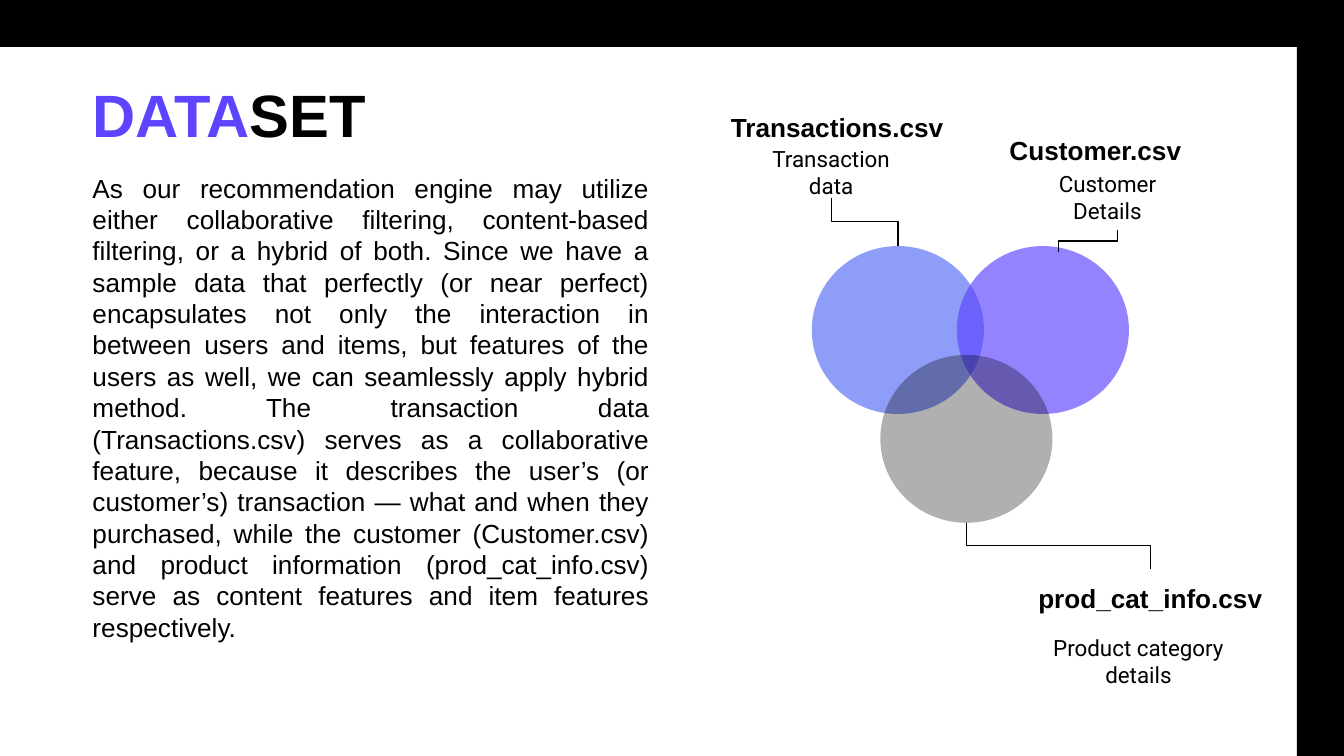
from dataclasses import dataclass

from lxml.etree import SubElement
from pptx import Presentation
from pptx.dml.color import RGBColor
from pptx.enum.shapes import MSO_CONNECTOR, MSO_SHAPE
from pptx.enum.text import MSO_ANCHOR, PP_ALIGN
from pptx.oxml.ns import qn
from pptx.util import Pt


@dataclass(frozen=True)
class Theme:
    black: str = "000000"
    violet: str = "5D44FF"
    blue: str = "8E9DF7"
    title_size: int = 32
    text_size: int = 14
    detail_size: int = 12
    main_font: str = "Arial"
    detail_font: str = "Roboto"


theme = Theme()
deck = Presentation()
deck.slide_width, deck.slide_height = Pt(720), Pt(405)
slide = deck.slides.add_slide(deck.slide_layouts[6])


def add_text(box, *pieces, size=theme.text_size, font=theme.main_font, bold=False,
             align=PP_ALIGN.CENTER, anchor=MSO_ANCHOR.TOP, inset=7.2, spacing=None):
    """Write (text, colour) pieces as one paragraph in a box of left, top, width, height."""
    frame = slide.shapes.add_textbox(*map(Pt, box)).text_frame
    frame.word_wrap = True
    frame.vertical_anchor = anchor
    frame.margin_left = frame.margin_right = Pt(7.2)
    frame.margin_top = frame.margin_bottom = Pt(inset)
    paragraph = frame.paragraphs[0]
    paragraph.alignment = align
    paragraph.line_spacing = spacing
    for text, colour in pieces:
        run = paragraph.add_run()
        run.text = text
        run.font.name, run.font.size, run.font.bold = font, Pt(size), bold
        run.font.color.rgb = RGBColor.from_string(colour)


def add_filled(preset, box, colour, opacity=100):
    shape = slide.shapes.add_shape(preset, *map(Pt, box))
    shape.shadow.inherit = False
    shape.line.fill.background()
    shape.fill.solid()
    shape.fill.fore_color.rgb = RGBColor.from_string(colour)
    if opacity < 100:
        colour_node = shape.fill._xPr.find(qn("a:solidFill"))[0]
        SubElement(colour_node, qn("a:alpha")).set("val", str(opacity * 1000))


# Frame along the right and top edges
for bar in ((694.8, 0, 25.2, 405), (0, 0, 720, 25.2)):
    add_filled(MSO_SHAPE.RECTANGLE, bar, theme.black)

add_text((42.5, 32.4, 245.5, 64), ("DATA", theme.violet), ("SET", theme.black),
         size=theme.title_size, bold=True, align=PP_ALIGN.LEFT,
         anchor=MSO_ANCHOR.MIDDLE, spacing=0.8)

# Venn diagram
for left, top, colour, opacity in (
    (434.9, 131.8, theme.blue, 100),
    (512.6, 131.8, theme.violet, 66),
    (471.6, 190.1, theme.black, 31),
):
    add_filled(MSO_SHAPE.OVAL, (left, top, 92.2, 90), colour, opacity)

# File names and what they hold
for file_name, name_box, detail, detail_box in (
    ("Transactions.csv", (379.4, 52.6, 138.2, 23),
     "Transaction data", (396, 70.6, 98.6, 35.3)),
    ("Customer.csv", (529.9, 64.8, 113.8, 23),
     "Customer Details", (547.2, 84.2, 92.2, 35.3)),
    ("prod_cat_info.csv", (547.2, 304.6, 138.2, 18),
     "Product category details", (553, 332.6, 113.8, 41)),
):
    add_text(name_box, (file_name, theme.black), bold=True)
    add_text(detail_box, (detail, theme.black),
             size=theme.detail_size, font=theme.detail_font)

# Elbow leaders leave vertically: lay each out sideways, then turn it a quarter
for x1, y1, x2, y2 in (
    (445.4, 105.8, 481, 131.8),
    (598.8, 123.1, 567.1, 135.2),
    (517.7, 280.1, 616.5, 304.6),
):
    mid_x, mid_y = (x1 + x2) / 2, (y1 + y2) / 2
    half_run, half_drop = (x2 - x1) / 2, (y2 - y1) / 2
    leader = slide.shapes.add_connector(
        MSO_CONNECTOR.ELBOW,
        Pt(mid_x - half_drop), Pt(mid_y + half_run),
        Pt(mid_x + half_drop), Pt(mid_y - half_run))
    leader.line.color.rgb = RGBColor.from_string(theme.black)
    leader.line.width = Pt(0.75)
    properties = leader._element.spPr
    properties.find(qn("a:xfrm")).set("rot", str(90 * 60000))
    SubElement(properties, qn("a:effectLst"))

add_text(
    (42.5, 88.6, 312.5, 261.4),
    ("As our recommendation engine may utilize either collaborative filtering, "
     "content-based filtering, or a hybrid of both. Since we have a sample data that "
     "perfectly (or near perfect) encapsulates not only the interaction in between users "
     "and items, but features of the users as well, we can seamlessly apply hybrid method. "
     "The transaction data (Transactions.csv) serves as a collaborative feature, because "
     "it describes the user’s (or customer’s) transaction — what and when they purchased, "
     "while the customer (Customer.csv) and product information (prod_cat_info.csv) serve "
     "as content features and item features respectively.", theme.black),
    align=PP_ALIGN.JUSTIFY, inset=3.6)

deck.save("out.pptx")
